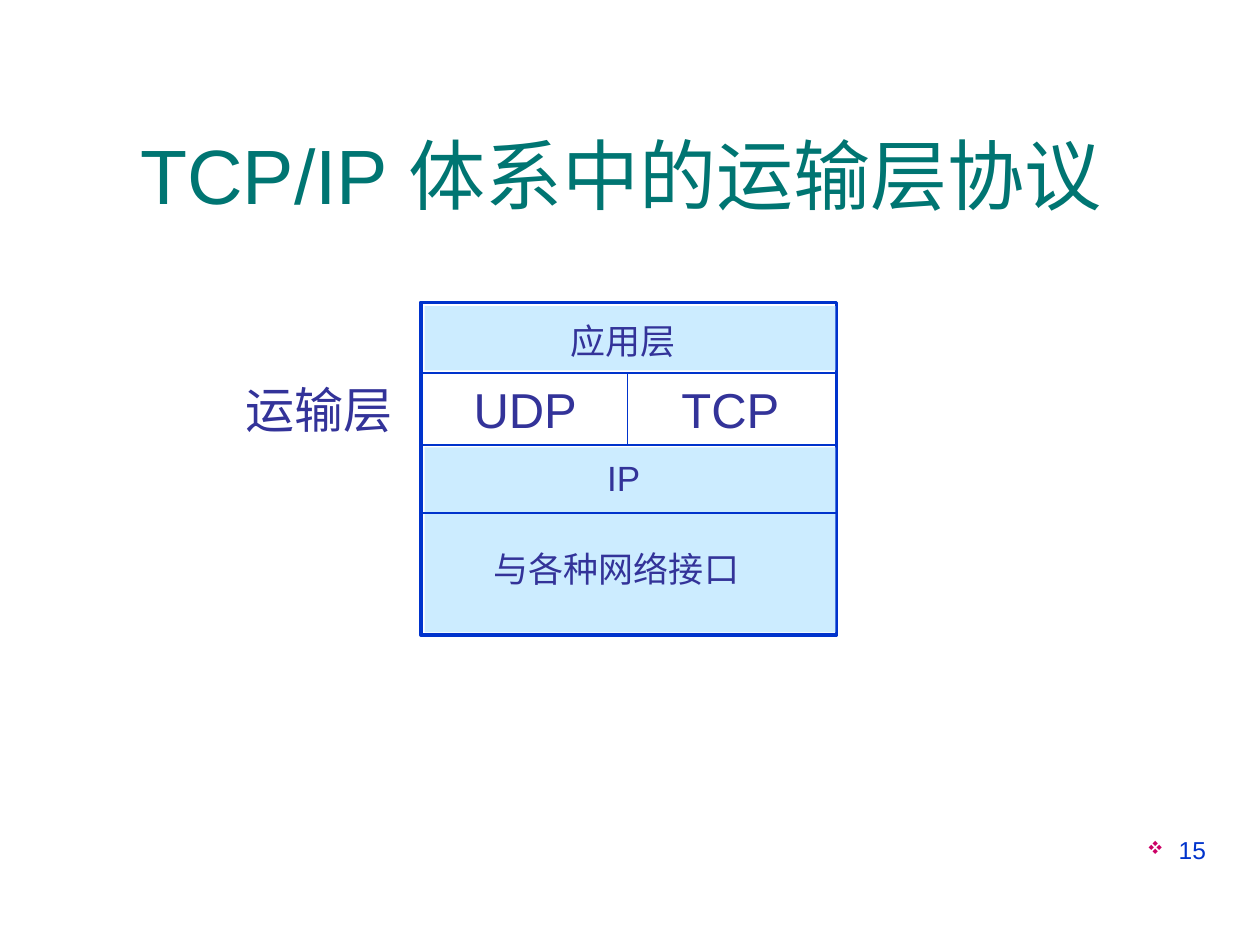
from lxml import etree
from pptx import Presentation
from pptx.dml.color import RGBColor
from pptx.enum.shapes import MSO_CONNECTOR, MSO_SHAPE
from pptx.enum.text import MSO_ANCHOR, PP_ALIGN
from pptx.oxml.ns import qn
from pptx.util import Inches, Pt

LINE = MSO_CONNECTOR.STRAIGHT
RECT = MSO_SHAPE.RECTANGLE
MIDDLE = MSO_ANCHOR.MIDDLE
TOP = MSO_ANCHOR.TOP
LEFT, CENTER, RIGHT = PP_ALIGN.LEFT, PP_ALIGN.CENTER, PP_ALIGN.RIGHT

TEAL = RGBColor(0x00, 0x75, 0x72)
BLUE = RGBColor(0x00, 0x33, 0xCC)
INDIGO = RGBColor(0x33, 0x33, 0x99)
PALE = RGBColor(0xCC, 0xEC, 0xFF)
WHITE = RGBColor(0xFF, 0xFF, 0xFF)


def add_text(slide, box, text, size, color, align=LEFT, anchor=TOP,
             wrap=False, font="Arial"):
    shape = slide.shapes.add_textbox(*map(Inches, box))
    frame = shape.text_frame
    frame.text = text
    frame.word_wrap = wrap
    frame.vertical_anchor = anchor
    para = frame.paragraphs[0]
    para.alignment = align
    run = para.runs[0]
    run.font.size = Pt(size)
    run.font.name = font
    run.font.color.rgb = color
    return para


def add_rect(slide, box, fill, line=None):
    shape = slide.shapes.add_shape(RECT, *map(Inches, box))
    shape.shadow.inherit = False
    shape.fill.solid()
    shape.fill.fore_color.rgb = fill
    if line is None:
        shape.line.fill.background()
    else:
        shape.line.color.rgb = line
        shape.line.width = Pt(2)


def add_rule(slide, x1, y1, x2, y2):
    rule = slide.shapes.add_connector(LINE, *map(Inches, (x1, y1, x2, y2)))
    rule.line.color.rgb = BLUE
    rule.line.width = Pt(1)
    etree.SubElement(rule.element.spPr, qn("a:effectLst"))


def add_stack(slide, x, y, w, h):
    """Draw the protocol layers, with the transport layer left white."""
    app, trans, net = y + 0.56, y + 1.13, y + 1.67
    mid = x + 1.64
    add_rect(slide, (x, y, w, h), WHITE, BLUE)
    add_rect(slide, (x + 0.03, y + 0.03, w - 0.04, 0.51), PALE)
    add_rect(slide, (x + 0.03, trans + 0.02, w - 0.04, 1.47), PALE)
    for level in (app, trans, net):
        add_rule(slide, x, level, x + w, level)
    add_rule(slide, mid, app, mid, trans)

    labels = [
        ("应用层", 1.09, 0.09, 1.07, 0.43, 20),
        ("UDP", 0.32, 0.56, 1.02, 0.56, 28),
        ("TCP", 1.97, 0.56, 0.98, 0.56, 28),
        ("IP", 1.38, 1.17, 0.46, 0.43, 20),
        ("与各种网络接口", 0.48, 1.9, 2.52, 0.43, 20),
    ]
    for text, dx, dy, wide, high, size in labels:
        add_text(slide, (x + dx, y + dy, wide, high), text, size, INDIGO)


def add_number(slide, box):
    """Place the page number behind a small diamond bullet."""
    para = add_text(slide, box, "15", 14, BLUE, RIGHT, wrap=True)
    props = para._p.get_or_add_pPr()
    props.set("marL", str(Inches(0.25)))
    props.set("indent", str(-Inches(0.25)))
    color = etree.SubElement(props, qn("a:buClr"))
    etree.SubElement(color, qn("a:srgbClr"), val="CC0066")
    etree.SubElement(props, qn("a:buSzPct"), val="75000")
    etree.SubElement(props, qn("a:buFont"), typeface="Wingdings")
    etree.SubElement(props, qn("a:buChar"), char="v")


def main():
    deck = Presentation()
    deck.slide_width, deck.slide_height = Inches(10), Inches(7.5)
    slide = deck.slides.add_slide(deck.slide_layouts[6])
    add_number(slide, (7.17, 6.58, 2.5, 0.52))
    add_text(slide, (0.33, 0.75, 9.34, 1.25), "TCP/IP 体系中的运输层协议 ",
             44, TEAL, CENTER, MIDDLE, wrap=True)
    add_stack(slide, 3.34, 2.4, 3.3, 2.64)
    add_text(slide, (1.85, 2.96, 1.37, 0.57), "运输层", 28, INDIGO,
             font="Karla")
    deck.save("out.pptx")


if __name__ == "__main__":
    main()
